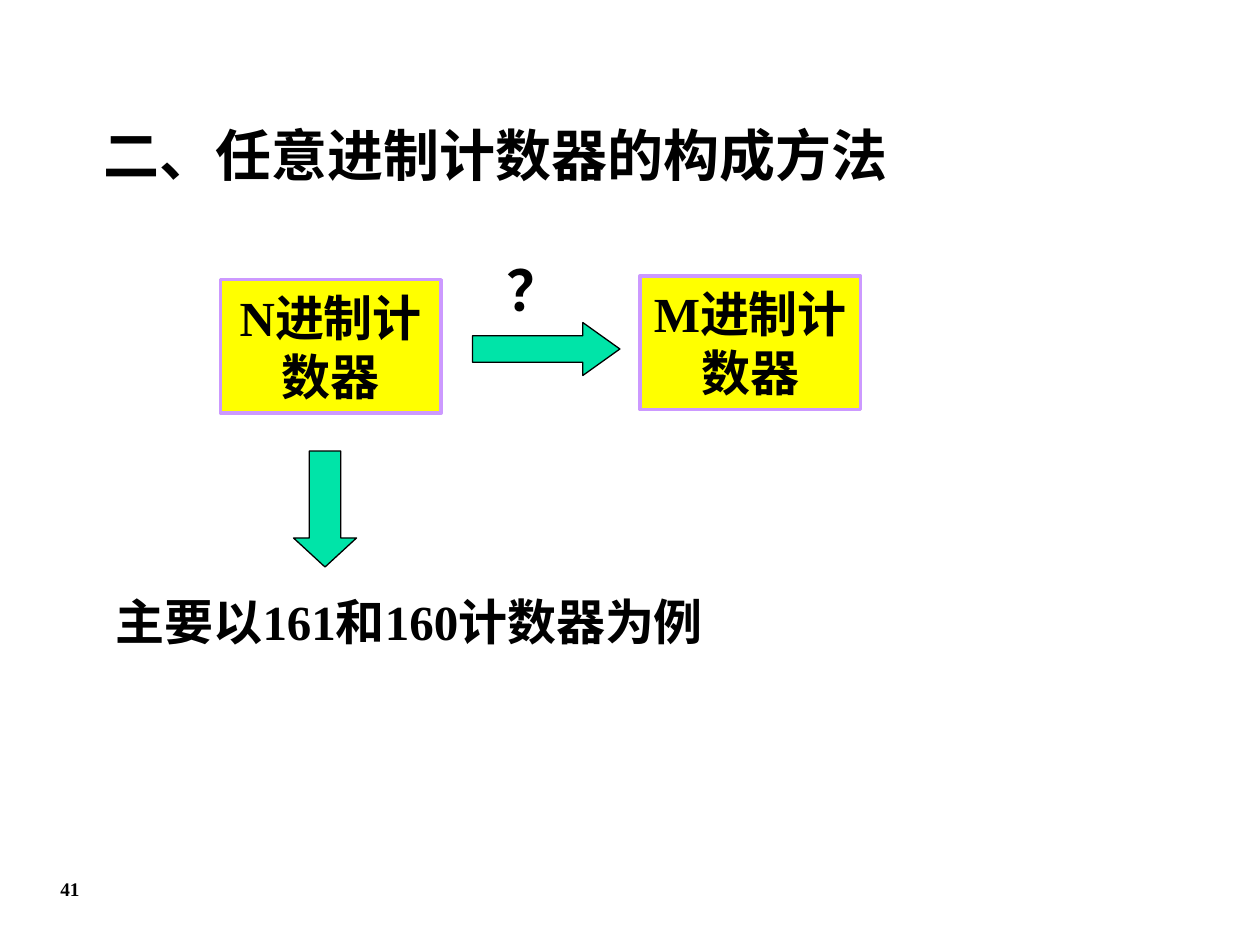
from pptx import Presentation
from pptx.dml.color import RGBColor
from pptx.enum.shapes import MSO_SHAPE
from pptx.enum.text import MSO_ANCHOR, MSO_AUTO_SIZE, PP_ALIGN
from pptx.util import Inches, Pt

COLORS = {
    "text": "000000",
    "counter": "FFFF00",
    "border": "CC99FF",
    "arrow": "00E4A8",
}


def color(name):
    return RGBColor.from_string(COLORS[name])


def inches(box):
    return [Inches(value) for value in box]


def write_text(shape, text, size, alignment=PP_ALIGN.LEFT):
    frame = shape.text_frame
    frame.text = text
    frame_format = {
        "word_wrap": True,
        "auto_size": MSO_AUTO_SIZE.NONE,
        "vertical_anchor": MSO_ANCHOR.MIDDLE,
    }
    for name, value in frame_format.items():
        setattr(frame, name, value)
    paragraph = frame.paragraphs[0]
    paragraph.alignment = alignment
    font = paragraph.runs[0].font
    font_format = {"name": "Times New Roman", "size": Pt(size), "bold": True}
    for name, value in font_format.items():
        setattr(font, name, value)
    font.color.rgb = color("text")


def place_title(slide, box, text):
    title = slide.shapes.title
    for name, value in zip(("left", "top", "width", "height"), inches(box)):
        setattr(title, name, value)
    write_text(title, text, 32)


def add_label(slide, box, text, size, alignment=PP_ALIGN.LEFT):
    label = slide.shapes.add_textbox(*inches(box))
    write_text(label, text, size, alignment)


def add_filled_shape(slide, kind, box, fill, line, line_width):
    shape = slide.shapes.add_shape(kind, *inches(box))
    shape.shadow.inherit = False
    shape.fill.solid()
    shape.fill.fore_color.rgb = color(fill)
    shape.line.color.rgb = color(line)
    shape.line.width = Pt(line_width)
    return shape


def add_counter(slide, box, text):
    counter = add_filled_shape(slide, MSO_SHAPE.RECTANGLE, box, "counter", "border", 2)
    write_text(counter, text, 28, PP_ALIGN.CENTER)


def add_arrow(slide, kind, box, head_length):
    arrow = add_filled_shape(slide, kind, box, "arrow", "text", 0.75)
    arrow.adjustments[0] = 0.5
    arrow.adjustments[1] = head_length


def main():
    presentation = Presentation()
    presentation.slide_width = Inches(10)
    presentation.slide_height = Inches(7.5)
    slide = presentation.slides.add_slide(presentation.slide_layouts[5])

    place_title(slide, (0.72, 0.85, 9, 0.74), "二、任意进制计数器的构成方法")
    add_counter(slide, (1.75, 2.22, 1.75, 1.06), "N进制计数器")
    add_arrow(slide, MSO_SHAPE.RIGHT_ARROW, (3.75, 2.56, 1.17, 0.42), 0.7)
    add_counter(slide, (5.08, 2.19, 1.75, 1.06), "M进制计数器")
    add_arrow(slide, MSO_SHAPE.DOWN_ARROW, (2.33, 3.58, 0.5, 0.92), 0.46)
    add_label(slide, (0.82, 4.64, 5.35, 0.57), "主要以161和160计数器为例", 28)
    add_label(slide, (3.92, 1.98, 0.59, 0.63), "？", 32)
    add_label(slide, (0.06, 6.87, 0.99, 0.37), "41", 11, PP_ALIGN.CENTER)

    presentation.save("out.pptx")


if __name__ == "__main__":
    main()
